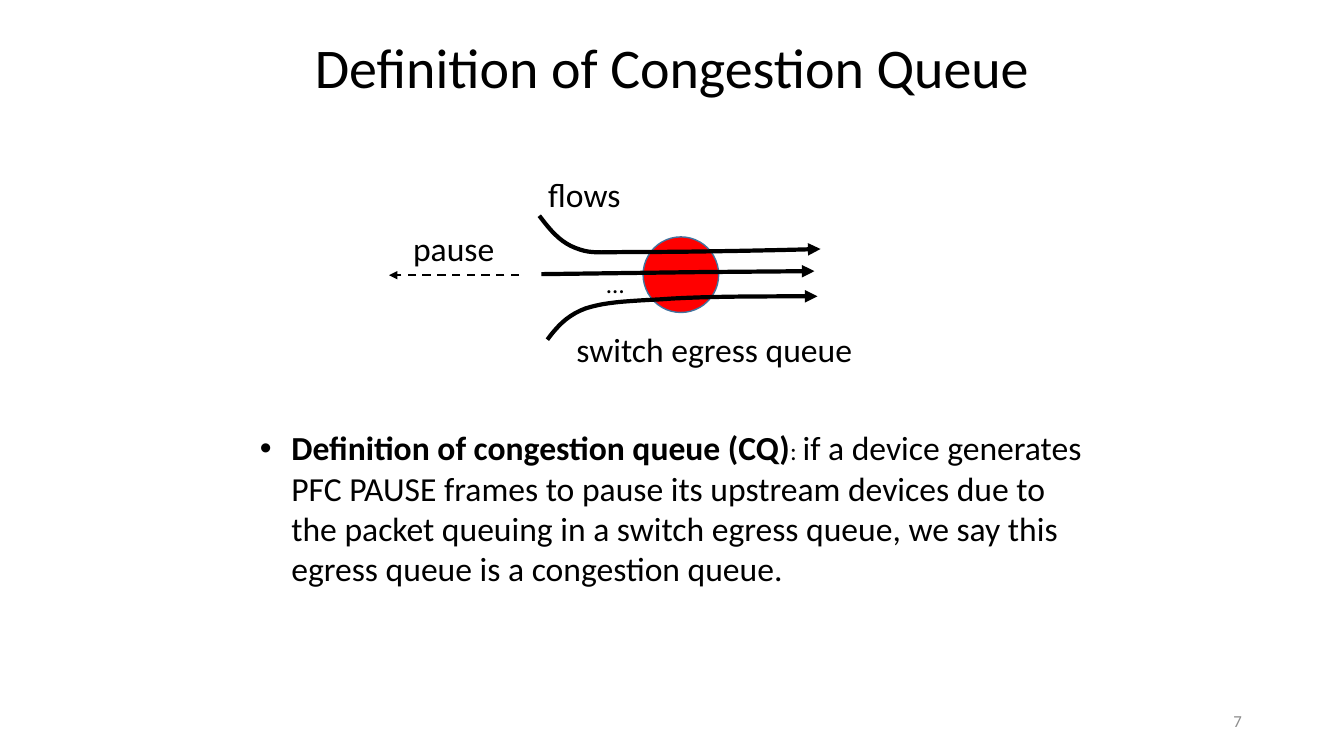
"""Build the congestion queue definition slide."""
from math import comb

from lxml import etree
from pptx import Presentation
from pptx import util as u
from pptx.dml.color import RGBColor
from pptx.enum import dml, shapes, text
from pptx.oxml.ns import qn

BLACK, GREY, RED, BLUE = "000000", "8C8C8C", "FF0000", "43739E"
FONT = "Calibri"
SLIDE = (960, 540)

TITLE = ("Definition of Congestion Queue", (123.84, 19.44, 712.08, 55.44))
NUMBER = ("7", (678.24, 500.4, 216, 28.8))
DEFINITION = [
    ("Definition of congestion queue (CQ)", 24, True),
    (": ", 18, False),
    ("if a device generates PFC PAUSE frames to pause its upstream devices due to "
     "the packet queuing in a switch egress queue, we say this egress queue is a "
     "congestion queue.", 24, False),
]
DEFINITION_BOX = (178.56, 301.68, 602.64, 123.84)
LABELS = [
    ("switch egress queue", (404.64, 231.12, 213.84, 36), 24),
    ("…", (426.24, 187.92, 27.36, 28.8), 18),
    ("flows", (384.48, 120.96, 66.96, 36), 24),
    ("pause", (288, 159.12, 76.32, 36), 24),
]
QUEUE = (459.36, 169.2, 54, 54)
PAUSE_LINE = (370.8, 196.56, 277.92, 196.56)
FLOWS = [
    [[(385.2, 154.08), (392.4, 163.44), (399.6, 172.8), (411.12, 177.12)],
     [(411.12, 177.12), (422.64, 181.44), (424.8, 180), (454.32, 180)],
     [(454.32, 180), (483.12, 180), (534.24, 179.28), (586.08, 177.84)]],
    [[(386.64, 195.84), (497.52, 194.4)],
     [(497.52, 194.4), (581.76, 193.68)]],
    [[(390.96, 242.64), (397.44, 234), (404.64, 225.36), (418.32, 220.32)],
     [(418.32, 220.32), (432, 216), (444.24, 215.28), (471.6, 213.84)],
     [(471.6, 213.84), (499.68, 211.68), (541.44, 211.68), (583.92, 211.68)]],
]
CURVE_STEPS = 10


def color(value):
    return RGBColor.from_string(value)


def pts(values):
    return [u.Pt(v) for v in values]


def add_text(s, runs, box, size=24, ink=BLACK, align=text.PP_ALIGN.LEFT,
             anchor=text.MSO_ANCHOR.TOP, wrap=True, bullet=None, indent=0):
    tf = s.shapes.add_textbox(*pts(box)).text_frame
    tf.word_wrap, tf.vertical_anchor = wrap, anchor
    p = tf.paragraphs[0]
    p.alignment = align
    if bullet:
        pPr = p._p.get_or_add_pPr()
        pPr.set("marL", str(u.Pt(indent)))
        pPr.set("indent", str(-u.Pt(indent)))
        etree.SubElement(pPr, qn("a:buFont")).set("typeface", "Arial")
        etree.SubElement(pPr, qn("a:buChar")).set("char", bullet)
    for words, run_size, bold in [(runs, size, False)] if isinstance(runs, str) else runs:
        r = p.add_run()
        r.text = words
        r.font.name, r.font.size, r.font.bold = FONT, u.Pt(run_size), bold
        r.font.color.rgb = color(ink)


def set_line(sp, ink, width, arrow=False):
    sp.line.color.rgb = color(ink)
    sp.line.width = u.Pt(width)
    if arrow:
        ln = sp.line._get_or_add_ln()
        etree.SubElement(ln, qn("a:tailEnd")).set("type", "triangle")


def bezier(points, t):
    n = len(points) - 1
    weights = [comb(n, i) * t ** i * (1 - t) ** (n - i) for i in range(n + 1)]
    return [sum(w * pt[axis] for w, pt in zip(weights, points)) for axis in (0, 1)]


def add_flow(s, segments):
    dots = []
    for seg in segments:
        steps = CURVE_STEPS if len(seg) > 2 else 1
        dots += [pts(bezier(seg, i / steps)) for i in range(1, steps + 1)]
    builder = s.shapes.build_freeform(*pts(segments[0][0]))
    builder.add_line_segments(dots, close=False)
    sp = builder.convert_to_shape()
    sp.shadow.inherit = False
    sp.fill.background()
    set_line(sp, BLACK, 3, arrow=True)


def main():
    prs = Presentation()
    prs.slide_width, prs.slide_height = pts(SLIDE)
    s = prs.slides.add_slide(prs.slide_layouts[6])

    add_text(s, *NUMBER, size=12, ink=GREY, align=text.PP_ALIGN.RIGHT,
             anchor=text.MSO_ANCHOR.MIDDLE)
    add_text(s, *TITLE, size=40, align=text.PP_ALIGN.CENTER)

    queue = s.shapes.add_shape(shapes.MSO_SHAPE.OVAL, *pts(QUEUE))
    queue.shadow.inherit = False
    queue.fill.solid()
    queue.fill.fore_color.rgb = color(RED)
    set_line(queue, BLUE, 1)

    for flow in FLOWS:
        add_flow(s, flow)
    pause = s.shapes.add_connector(shapes.MSO_CONNECTOR.STRAIGHT, *pts(PAUSE_LINE))
    pause.line.dash_style = dml.MSO_LINE.DASH
    set_line(pause, BLACK, 1.5, arrow=True)
    etree.SubElement(pause._element.spPr, qn("a:effectLst"))

    for words, box, size in LABELS:
        add_text(s, words, box, size=size, wrap=False)
    add_text(s, DEFINITION, DEFINITION_BOX, bullet="•", indent=22.5)
    prs.save("out.pptx")


if __name__ == "__main__":
    main()
